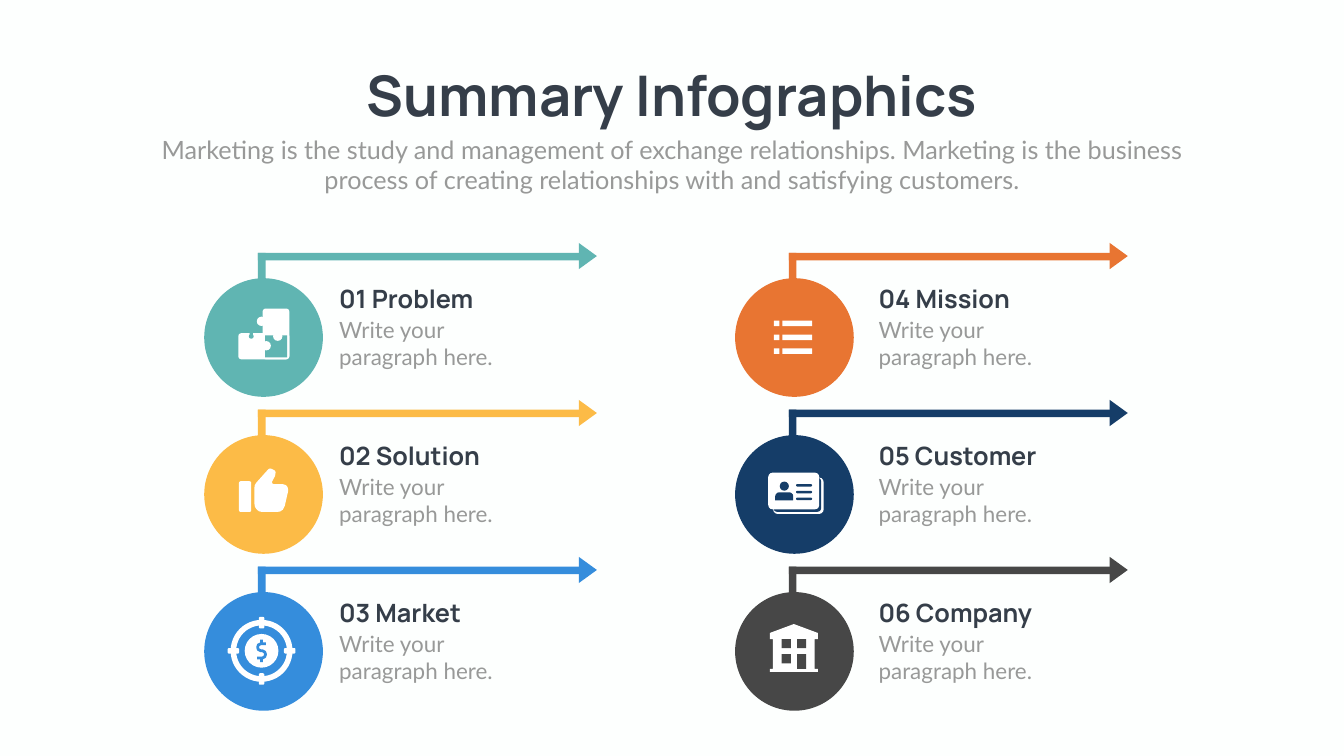
import pptx
import pptx.util
import pptx.dml.color
import pptx.enum.shapes
import pptx.enum.text

Cm = pptx.util.Cm
MSO = pptx.enum.shapes.MSO_SHAPE
ALIGN = pptx.enum.text.PP_ALIGN
COLORS = {
    "bg": "FDFFFE", "ink": "353E49", "grey": "989998", "white": "FFFFFF",
    "teal": "60B5B2", "yellow": "FCBB47", "blue": "358DDC",
    "orange": "E87532", "navy": "153D68", "dark": "474747",
}


def rgb(name):
    return pptx.dml.color.RGBColor.from_string(COLORS[name])


def shape(s, kind, x, y, w, h, color="white", adj=None, rot=0):
    sp = s.shapes.add_shape(kind, Cm(x), Cm(y), Cm(w), Cm(h))
    sp.shadow.inherit = False
    sp.fill.solid()
    sp.fill.fore_color.rgb = rgb(color)
    sp.line.fill.background()
    sp.rotation = rot
    if adj is not None:
        sp.adjustments[0] = adj
    return sp


def outline(s, cx, cy, points, stroke=None):
    """Filled polygon around a centre, or an open line if stroke is given."""
    pts = [(Cm(cx + x), Cm(cy + y)) for x, y in points]
    fb = s.shapes.build_freeform(*pts[0])
    fb.add_line_segments(pts[1:], close=stroke is None)
    sp = fb.convert_to_shape()
    sp.shadow.inherit = False
    if stroke is None:
        sp.fill.solid()
        sp.fill.fore_color.rgb = rgb("white")
        sp.line.fill.background()
    else:
        sp.fill.background()
        sp.line.color.rgb = rgb("white")
        sp.line.width = pptx.util.Pt(stroke)


def write(sp, text, size, font, color, bold=False, align=ALIGN.LEFT, wrap=True):
    tf = sp.text_frame
    tf.word_wrap = wrap
    tf.auto_size = pptx.enum.text.MSO_AUTO_SIZE.NONE
    tf.vertical_anchor = pptx.enum.text.MSO_ANCHOR.TOP
    p = tf.paragraphs[0]
    p.alignment = align
    p.space_before = pptx.util.Pt(0)
    r = p.add_run()
    r.text = text
    r.font.size = pptx.util.Pt(size)
    r.font.name = font
    r.font.bold = bold
    r.font.color.rgb = rgb(color)


def place(sp, x, y, w, h):
    sp.left, sp.top, sp.width, sp.height = Cm(x), Cm(y), Cm(w), Cm(h)
    return sp


# Icons, each drawn around the centre of its circle
def puzzle_icon(s, cx, cy, color):
    shape(s, MSO.ROUNDED_RECTANGLE, cx - 0.05, cy - 1.46, 1.35, 2.56, adj=0.12)
    shape(s, MSO.ROUNDED_RECTANGLE, cx - 1.27, cy - 0.22, 2.57, 1.32, adj=0.12)
    shape(s, MSO.RECTANGLE, cx + 0.08, cy - 0.11, 1.11, 1.11, color)
    for x, y in [(-0.34, -1.05), (-0.1, 0.18), (0.48, -0.3)]:
        shape(s, MSO.OVAL, cx + x, cy + y, 0.47, 0.47)
    shape(s, MSO.OVAL, cx - 0.74, cy - 0.18, 0.24, 0.24, color)
    shape(s, MSO.RECTANGLE, cx - 0.7, cy - 0.24, 0.16, 0.12, color)


def thumb_icon(s, cx, cy, color):
    shape(s, MSO.ROUNDED_RECTANGLE, cx - 1.24, cy - 0.67, 0.62, 1.55, adj=0.15)
    outline(s, cx, cy, [
        (0.97, -0.52), (0.51, -0.52), (0.43, -0.57), (0.43, -0.65),
        (0.58, -0.93), (0.61, -1.13), (0.55, -1.22), (0.43, -1.28),
        (0.33, -1.31), (0.25, -1.28), (-0.36, -0.6), (-0.44, -0.48),
        (-0.46, -0.34), (-0.46, 0.47), (-0.43, 0.63), (-0.35, 0.75),
        (-0.23, 0.85), (-0.08, 0.88), (0.69, 0.88), (0.83, 0.86),
        (0.97, 0.77), (1.07, 0.57), (1.24, -0.17), (1.24, -0.25),
        (1.21, -0.37), (1.13, -0.47)])


def target_icon(s, cx, cy, color):
    cx, cy = cx - 0.1, cy - 0.03
    shape(s, MSO.DONUT, cx - 1.56, cy - 1.56, 3.12, 3.12, adj=0.09)
    for dx, dy in [(-1, 0), (1, 0), (0, -1), (0, 1)]:
        w, h = (0.58, 0.28) if dx else (0.28, 0.58)
        shape(s, MSO.ROUNDED_RECTANGLE, cx + 1.42 * dx - w / 2,
              cy + 1.42 * dy - h / 2, w, h, adj=0.25)
    shape(s, MSO.OVAL, cx - 0.85, cy - 0.85, 1.7, 1.7)
    # Dollar sign
    sign = [(0.22, -0.36), (-0.03, -0.36), (-0.16, -0.3), (-0.2, -0.18),
            (-0.16, -0.06), (-0.03, 0), (0.05, 0), (0.16, 0.06),
            (0.2, 0.18), (0.16, 0.3), (0.05, 0.36), (-0.22, 0.36)]
    outline(s, cx, cy, sign, stroke=4)
    s.shapes[-1].line.color.rgb = rgb(color)
    for y in (-0.57, 0.36):
        shape(s, MSO.RECTANGLE, cx - 0.07, cy + y, 0.14, 0.21, color)


def list_icon(s, cx, cy, color):
    for row in range(3):
        y = cy - 0.85 + 0.7 * row
        shape(s, MSO.RECTANGLE, cx - 1.04, y, 0.28, 0.28)
        shape(s, MSO.RECTANGLE, cx - 0.61, y, 1.5, 0.28)


def card_icon(s, cx, cy, color):
    for x, y, w, h, fill in [(-1.07, -0.85, 2.54, 1.83, "white"),
                             (-1.07, -0.85, 2.42, 1.73, color),
                             (-1.32, -1.1, 2.57, 1.85, "white")]:
        shape(s, MSO.ROUNDED_RECTANGLE, cx + x, cy + y, w, h, fill, adj=0.12)
    shape(s, MSO.OVAL, cx - 0.74, cy - 0.65, 0.46, 0.46, color)
    shape(s, MSO.ROUND_2_SAME_RECTANGLE, cx - 0.97, cy - 0.11, 0.91, 0.41,
          color, adj=0.5)
    for row in range(3):
        shape(s, MSO.ROUNDED_RECTANGLE, cx + 0.08, cy - 0.52 + 0.34 * row,
              0.81, 0.12, color, adj=0.5)


def building_icon(s, cx, cy, color):
    half = [(1.21, -0.93), (1.21, -0.62), (1.05, -0.62), (1.05, 0.88),
            (1.21, 0.88), (1.21, 1.03)]
    mirrored = [(-x, y) for x, y in reversed(half)]
    outline(s, cx - 0.03, cy, [(0, -1.38)] + half + mirrored)
    for x, y, h in [(-0.64, -0.62, 0.46), (0.13, -0.62, 0.46),
                    (-0.64, 0.14, 0.46), (0.13, 0.14, 0.74)]:
        shape(s, MSO.RECTANGLE, cx + x, cy + y, 0.46, h, color)


def header(s, x, y, w):
    write(place(s.shapes.title, x + 9.2, y, w - 18.4, 3.68),
          "Summary Infographics", 80, "Manrope", "ink", bold=True,
          align=ALIGN.CENTER, wrap=False)
    write(place(s.placeholders[1], x, y + 3.73, w, 3.33),
          "Marketing is the study and management of exchange relationships. "
          "Marketing is the business process of creating relationships with "
          "and satisfying customers.", 36, "Lato", "grey", align=ALIGN.CENTER)


def item(s, x, y, text_dx, heading, color, icon):
    # Circle and its bent arrow
    shape(s, MSO.OVAL, x, y + 1.57, 5.98, 5.98, color)
    shape(s, MSO.RECTANGLE, x + 2.71, y + 0.29, 0.38, 6.5, color)
    shape(s, MSO.RECTANGLE, x + 2.71, y + 0.29, 16.18, 0.38, color)
    shape(s, MSO.ISOSCELES_TRIANGLE, x + 18.67, y, 1.32, 0.91, color, rot=90)
    # Texts
    for text, dy, h, size, font, ink, bold in [
            ("Write your paragraph here.", 3.36, 3, 32, "Lato", "grey", False),
            (heading, 1.7, 1.8, 36, "Manrope", "ink", True)]:
        tb = s.shapes.add_textbox(Cm(x + text_dx), Cm(y + dy), Cm(10.19), Cm(h))
        write(tb, text, size, font, ink, bold=bold)
    icon(s, x + 2.99, y + 4.56, color)


def main():
    prs = pptx.Presentation()
    prs.slide_width, prs.slide_height = Cm(67.72), Cm(38.1)
    s = prs.slides.add_slide(prs.slide_layouts[0])
    s.background.fill.solid()
    s.background.fill.fore_color.rgb = rgb("bg")
    header(s, 7.42, 2.9, 52.88)
    columns = [
        (6.55, [("01 Problem", "teal", puzzle_icon),
                ("02 Solution", "yellow", thumb_icon),
                ("03 Market", "blue", target_icon)]),
        (6.98, [("04 Mission", "orange", list_icon),
                ("05 Customer", "navy", card_icon),
                ("06 Company", "dark", building_icon)]),
    ]
    for col, (text_dx, items) in enumerate(columns):
        for row, (heading, color, icon) in enumerate(items):
            item(s, 10.29 + 26.75 * col, 12.45 + 7.91 * row, text_dx,
                 heading, color, icon)
    prs.save("out.pptx")


if __name__ == "__main__":
    main()
